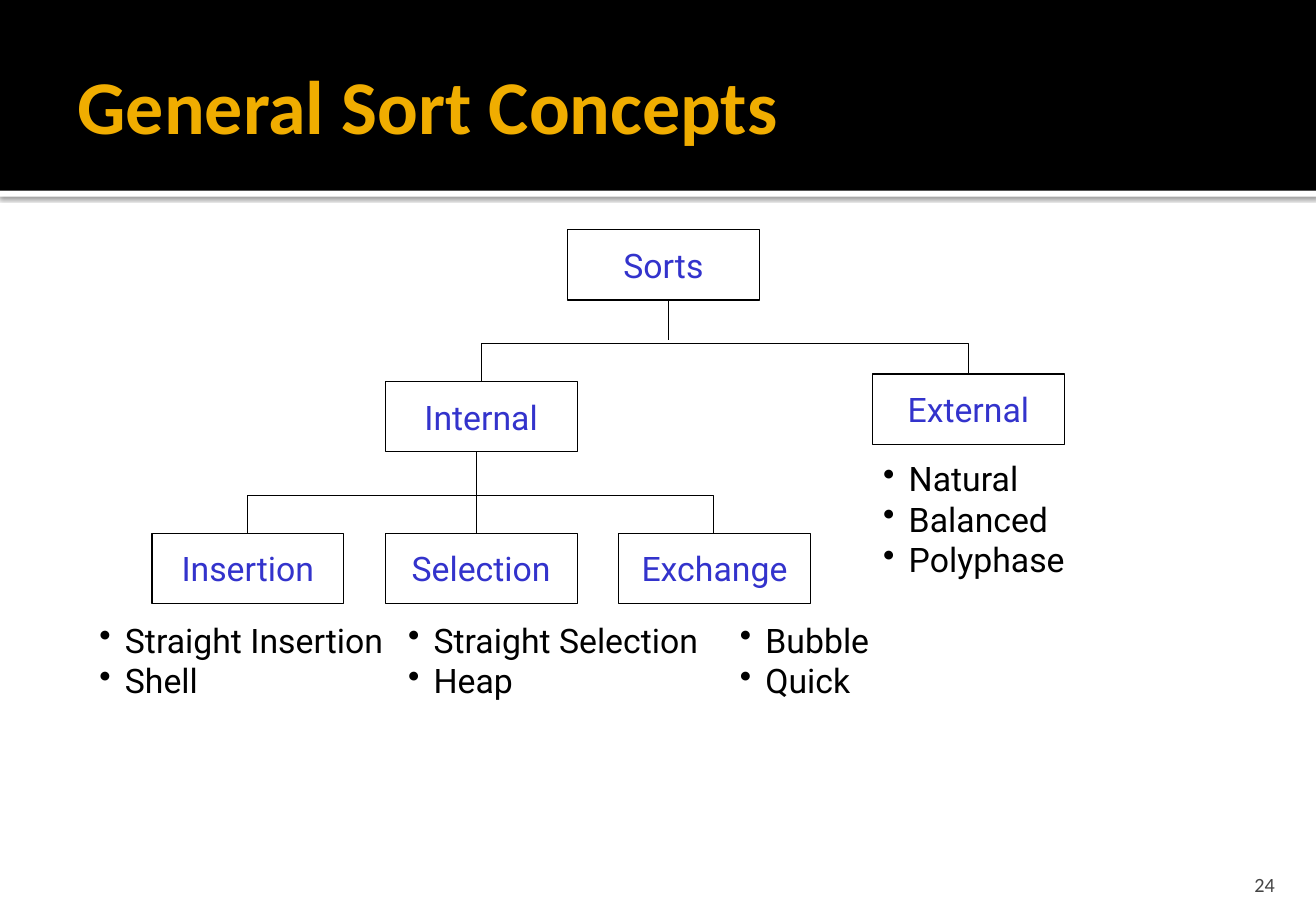
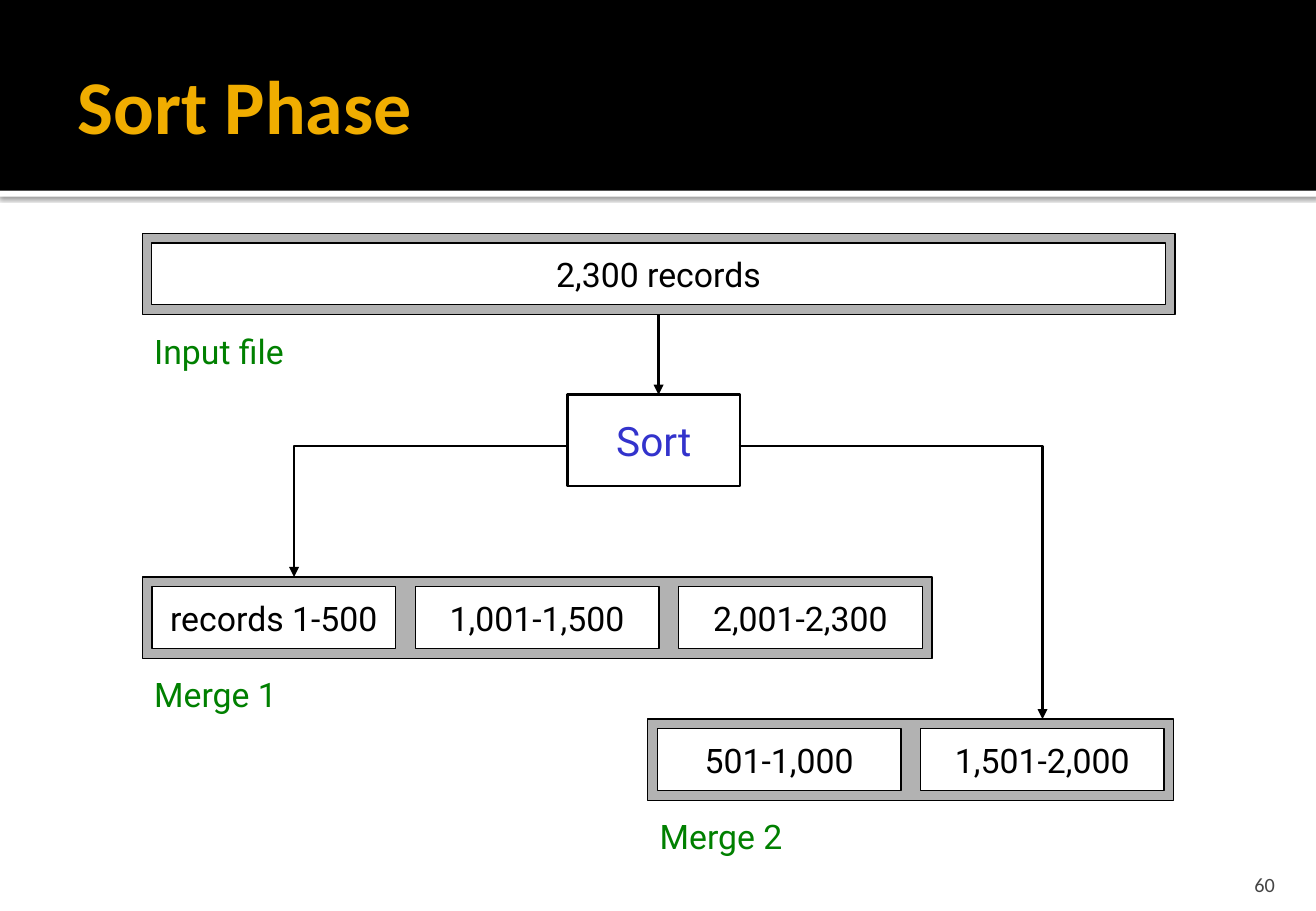
from lxml import etree
from pptx import Presentation
from pptx.dml.color import RGBColor
from pptx.enum.shapes import MSO_CONNECTOR, MSO_SHAPE
from pptx.enum.text import MSO_ANCHOR, PP_ALIGN
from pptx.oxml.ns import qn
from pptx.util import Inches, Pt

RECT, STRAIGHT = MSO_SHAPE.RECTANGLE, MSO_CONNECTOR.STRAIGHT
LEFT, CENTER, RIGHT = PP_ALIGN.LEFT, PP_ALIGN.CENTER, PP_ALIGN.RIGHT
TOP, MIDDLE, BOTTOM = MSO_ANCHOR.TOP, MSO_ANCHOR.MIDDLE, MSO_ANCHOR.BOTTOM

BLACK = RGBColor(0x00, 0x00, 0x00)
WHITE = RGBColor(0xFF, 0xFF, 0xFF)
GOLD = RGBColor(0xF0, 0xAD, 0x00)
BLUE = RGBColor(0x33, 0x33, 0xCC)
GREEN = RGBColor(0x00, 0x80, 0x00)
GRAY = RGBColor(0xB2, 0xB2, 0xB2)
DARK = RGBColor(0x45, 0x45, 0x45)
HEAD_FONT, BODY_FONT = "Calibri", "Roboto"
SLIDE_W, SLIDE_H = 10.83, 7.5
THIN, THICK = 0.75, 1.5

# Sort tree: boxes as (label, left, top), lists as (left, top, width, items)
BOX_W, BOX_H = 1.58, 0.58
COL_X, COL_STEP, METHOD_Y, LIST_Y = 1.25, 1.92, 4.39, 5.05
METHODS = ["Insertion", "Selection", "Exchange"]
CATEGORIES = [("Sorts", 4.67, 1.89), ("Internal", 3.17, 3.14), ("External", 7.18, 3.08)]
LISTS = [
    (0.72, LIST_Y, 2.76, ["Straight Insertion", "Shell"]),
    (3.26, LIST_Y, 2.65, ["Straight Selection", "Heap"]),
    (5.99, LIST_Y, 1.75, ["Bubble", "Quick"]),
    (7.17, 3.72, 1.75, ["Natural", "Balanced", "Polyphase"]),
]
BRACKETS = [
    [(2.04, 4.39), (2.04, 4.08), (5.87, 4.08), (5.87, 4.39)],
    [(3.96, 3.14), (3.96, 2.83), (7.97, 2.83), (7.97, 3.08)],
]
STEMS = [((5.5, 2.47), (5.5, 2.8)), ((3.92, 3.72), (3.92, 4.39))]

# Files of the sort phase: (name, left, top, width, records)
FILE_H, PAD = 0.67, 0.08
FILES = [
    ("Input file", 1.17, 1.92, 8.5, ["2,300 records"]),
    ("Merge 1", 1.17, 4.75, 6.5, ["records 1-500", "1,001-1,500", "2,001-2,300"]),
    ("Merge 2", 5.33, 5.92, 4.33, ["501-1,000", "1,501-2,000"]),
]
SORT_BOX = (4.67, 3.25, 1.42, 0.75)
OUTPUT_ARROWS = [
    [(4.67, 3.67), (2.42, 3.67), (2.42, 4.75)],
    [(6.08, 3.67), (8.58, 3.67), (8.58, 5.92)],
]


def style(p, size, color, font=BODY_FONT, bold=False, align=LEFT):
    p.alignment = align
    p.font.size, p.font.name, p.font.bold = Pt(size), font, bold
    p.font.color.rgb = color


def add_rect(s, x, y, w, h, fill=None, line=THIN):
    sp = s.shapes.add_shape(RECT, Inches(x), Inches(y), Inches(w), Inches(h))
    sp.shadow.inherit = False
    if fill is None:
        sp.fill.background()
    else:
        sp.fill.solid()
        sp.fill.fore_color.rgb = fill
    if line:
        sp.line.color.rgb, sp.line.width = BLACK, Pt(line)
    else:
        sp.line.fill.background()
    return sp


def add_label_box(s, text, x, y, w, h, color, fill=None, line=THIN, size=20):
    sp = add_rect(s, x, y, w, h, fill, line)
    tf = sp.text_frame
    tf.word_wrap, tf.vertical_anchor = False, MIDDLE
    tf.text = text
    style(tf.paragraphs[0], size, color, align=CENTER)


def add_text(s, x, y, w, h, lines, size, color, font=BODY_FONT, bold=False,
             align=LEFT, anchor=TOP, insets=(0.1, 0.05, 0.1, 0.05), bullets=False):
    tf = s.shapes.add_textbox(Inches(x), Inches(y), Inches(w), Inches(h)).text_frame
    tf.word_wrap, tf.vertical_anchor = True, anchor
    tf.margin_left, tf.margin_top, tf.margin_right, tf.margin_bottom = map(Inches, insets)
    tf.text = "\n".join(lines)
    for p in tf.paragraphs:
        style(p, size, color, font, bold, align)
        if bullets:
            pPr = p._p.get_or_add_pPr()
            pPr.set("marL", str(Inches(0.21)))
            pPr.set("indent", str(-Inches(0.21)))
            bullet = etree.Element(qn("a:buChar"), char="•")
            pPr.insert(0, bullet)


def style_line(sp, width, arrow):
    sp.line.color.rgb, sp.line.width = BLACK, Pt(width)
    if arrow:
        etree.SubElement(sp.line._get_or_add_ln(), qn("a:tailEnd"), type="triangle")


def add_line(s, start, end, width=THIN, arrow=False):
    sp = s.shapes.add_connector(STRAIGHT, *map(Inches, start + end))
    style_line(sp, width, arrow)
    etree.SubElement(sp._element.spPr, qn("a:effectLst"))
    return sp


def add_polyline(s, points, width=THIN, arrow=False):
    start, *rest = [(Inches(x), Inches(y)) for x, y in points]
    builder = s.shapes.build_freeform(*start)
    builder.add_line_segments(rest, close=False)
    sp = builder.convert_to_shape()
    sp.shadow.inherit = False
    sp.fill.background()
    style_line(sp, width, arrow)


def add_slide(prs, title, number):
    """Blank slide with the shared band, title and number."""
    s = prs.slides.add_slide(prs.slide_layouts[6])
    strip = add_rect(s, 0, 1.57, SLIDE_W, 0.05, WHITE, None)
    effects = strip._element.spPr.find(qn("a:effectLst"))
    shadow = etree.SubElement(effects, qn("a:outerShdw"), blurRad=str(Pt(2.5)),
                              dist=str(Pt(0.8)), dir="5400000", rotWithShape="0")
    color = etree.SubElement(shadow, qn("a:srgbClr"), val=str(BLACK))
    etree.SubElement(color, qn("a:alpha"), val="60000")
    add_rect(s, 0, 0, SLIDE_W, 1.57, BLACK, None)
    add_text(s, 0.54, 0.17, 9.75, 1.37, [title], 45, GOLD, HEAD_FONT, True,
             anchor=MIDDLE, insets=(0.1, 0.05, 0.05, 0.05))
    add_text(s, 9.72, 7.08, 0.87, 0.3, [number], 12, DARK, HEAD_FONT,
             align=RIGHT, anchor=BOTTOM, insets=(0.1, 0.05, 0.1, 0))
    return s


def add_file(s, name, x, y, w, records):
    """Gray frame with equal record cells and the file name below."""
    frame = add_rect(s, x, y, w, FILE_H, GRAY)
    step = w / len(records)
    for i, text in enumerate(records):
        add_label_box(s, text, x + i * step + PAD, y + PAD, step - 2 * PAD,
                      FILE_H - 2 * PAD, BLACK, WHITE)
    add_text(s, x, y + 0.75, 1.42, 0.43, [name], 20, GREEN)
    return frame


def build_concepts(prs):
    s = add_slide(prs, "General Sort Concepts", "24")
    methods = [(m, COL_X + i * COL_STEP, METHOD_Y) for i, m in enumerate(METHODS)]
    for text, x, y in CATEGORIES + methods:
        add_label_box(s, text, x, y, BOX_W, BOX_H, BLUE)
    for points in BRACKETS:
        add_polyline(s, points)
    for start, end in STEMS:
        add_line(s, start, end)
    for x, y, w, items in LISTS:
        add_text(s, x, y, w, 0.1 + 0.33 * len(items), items, 20, BLACK, bullets=True)


def build_sort_phase(prs):
    s = add_slide(prs, "Sort Phase", "60")
    input_frame, *_ = [add_file(s, *f) for f in FILES]
    add_label_box(s, "Sort", *SORT_BOX, BLUE, line=THICK, size=24)
    arrow = add_line(s, (5.42, 2.59), (5.42, 3.25), THICK, True)
    arrow.begin_connect(input_frame, 2)
    for points in OUTPUT_ARROWS:
        add_polyline(s, points, THICK, True)


def main():
    prs = Presentation()
    prs.slide_width, prs.slide_height = Inches(SLIDE_W), Inches(SLIDE_H)
    build_concepts(prs)
    build_sort_phase(prs)
    prs.save("out.pptx")


if __name__ == "__main__":
    main()
